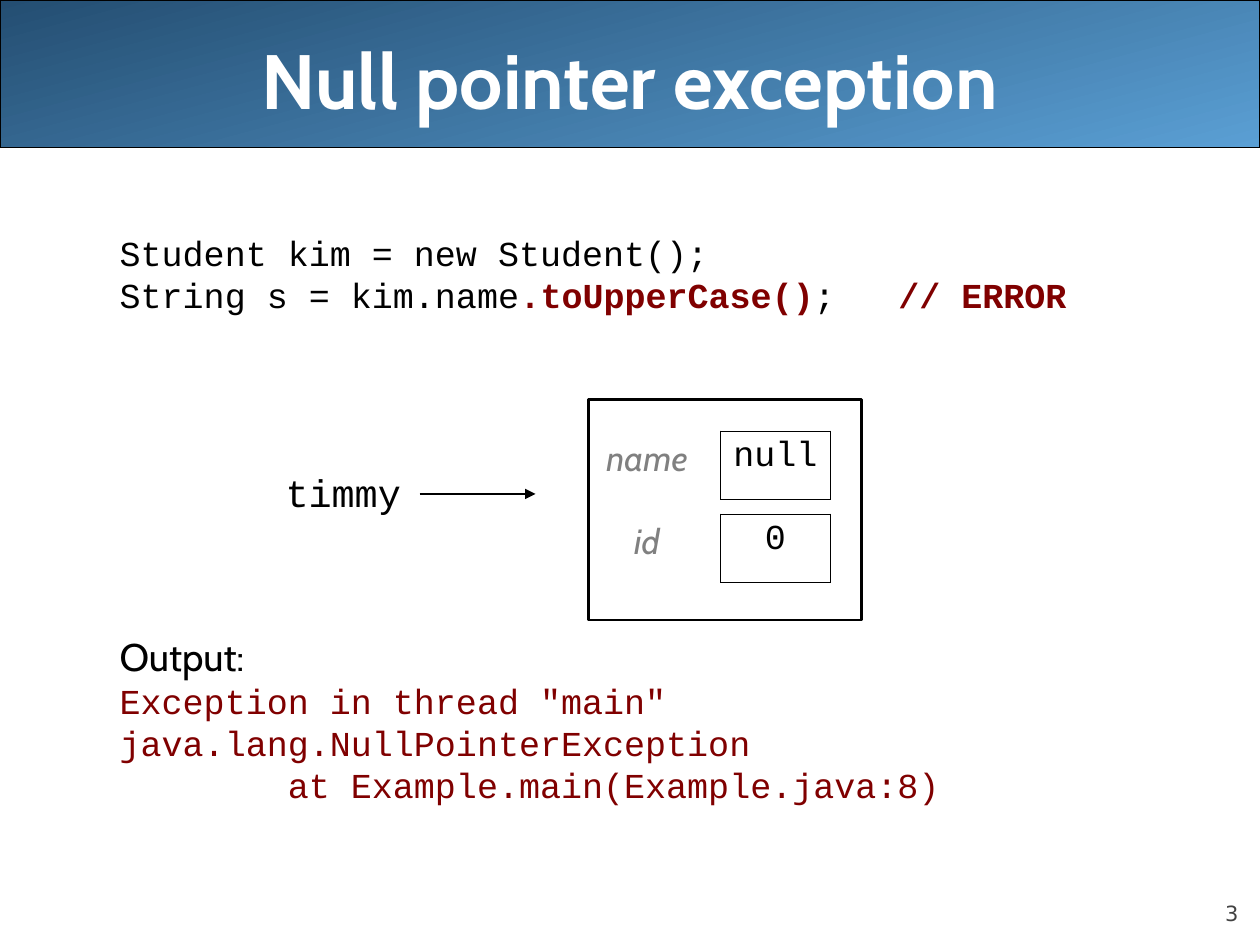
import pptx
import pptx.util
import pptx.dml.color
import pptx.enum.shapes
import pptx.enum.text
import pptx.oxml
import pptx.oxml.ns
from lxml import etree

Inches = pptx.util.Inches
Pt = pptx.util.Pt
ALIGN = pptx.enum.text.PP_ALIGN
ANCHOR = pptx.enum.text.MSO_ANCHOR

COLORS = {
    "black": "000000",
    "white": "FFFFFF",
    "error": "800000",
    "label": "808080",
    "number": "424242",
    "banner_dark": "244E72",
    "banner_light": "5A9FD4",
}
CODE_FONT = "Courier New"
TEXT_FONT = "Cabin"


def rgb(name):
    return pptx.dml.color.RGBColor.from_string(COLORS[name])


def add_run(paragraph, text, size, font, color, bold=False, italic=False):
    run = paragraph.add_run()
    run.text = text
    run.font.size = Pt(size)
    run.font.name = font
    run.font.bold = bold
    run.font.italic = italic
    run.font.color.rgb = rgb(color)


presentation = pptx.Presentation()
presentation.slide_width = Inches(10)
presentation.slide_height = Inches(7.5)
slide = presentation.slides.add_slide(presentation.slide_layouts[5])
shapes = slide.shapes

# Title on a gradient banner
title = shapes.title
title.left, title.top, title.width, title.height = (
    Inches(0.5), Inches(0), Inches(9), Inches(1.25))
title.text_frame.vertical_anchor = ANCHOR.MIDDLE
paragraph = title.text_frame.paragraphs[0]
paragraph.alignment = ALIGN.CENTER
add_run(paragraph, "Null pointer exception", 44, TEXT_FONT, "white", bold=True)

banner = shapes.add_shape(pptx.enum.shapes.MSO_SHAPE.RECTANGLE,
                          Inches(0), Inches(0), Inches(10), Inches(1.17))
banner.shadow.inherit = False
banner.fill.gradient()
banner.fill.gradient_angle = 285
for stop, position, color in zip(banner.fill.gradient_stops, (0, 1),
                                 ("banner_dark", "banner_light")):
    stop.position = position
    stop.color.rgb = rgb(color)
banner.line.color.rgb = rgb("black")
banner.line.width = Pt(0.75)
shapes._spTree.insert(2, banner._element)  # behind the title

# Code and program output: top, height and lines of runs
CODE = (20, CODE_FONT, "black")
ERROR = (20, CODE_FONT, "error")
text_blocks = [
    (1.84, 0.75, [
        [("Student kim = new Student();", *CODE)],
        [("String s = kim.name", *CODE),
         (".toUpperCase()", *ERROR, True),
         (";   ", *CODE),
         ("// ERROR", *ERROR, True)],
    ]),
    (5.06, 1.4, [
        [("Output:", 22, TEXT_FONT, "black")],
        [('Exception in thread "main"', *ERROR)],
        [("java.lang.NullPointerException", *ERROR)],
        [("        at Example.main(Example.java:8)", *ERROR)],
    ]),
]
for top, height, lines in text_blocks:
    box = shapes.add_textbox(Inches(0.95), Inches(top), Inches(8.9), Inches(height))
    frame = box.text_frame
    frame.word_wrap = True
    frame.margin_left = frame.margin_right = frame.margin_top = frame.margin_bottom = 0
    for index, runs in enumerate(lines):
        paragraph = frame.add_paragraph() if index else frame.paragraphs[0]
        paragraph.line_spacing = Pt(24)
        for run in runs:
            add_run(paragraph, *run)

# Variable and its reference arrow
variable = shapes.add_textbox(Inches(1.98), Inches(3.67), Inches(1.3), Inches(0.47))
variable.text_frame.word_wrap = True
paragraph = variable.text_frame.paragraphs[0]
paragraph.alignment = ALIGN.RIGHT
add_run(paragraph, "timmy", 22, CODE_FONT, "black")

arrow = shapes.add_connector(pptx.enum.shapes.MSO_CONNECTOR.STRAIGHT,
                             Inches(3.33), Inches(3.92), Inches(4.25), Inches(3.92))
arrow.line.color.rgb = rgb("black")
arrow.line.width = Pt(1.5)
etree.SubElement(arrow.line._get_or_add_ln(), pptx.oxml.ns.qn("a:tailEnd"), type="triangle")
etree.SubElement(arrow._element.spPr, pptx.oxml.ns.qn("a:effectLst"))

# Object fields: a label beside a bordered value
fields = [("name", "null"), ("id", "0")]
for index, (label, value) in enumerate(fields):
    table = shapes.add_table(1, 2, Inches(4.55), Inches(3.42 + 0.66 * index),
                             Inches(2.04), Inches(0.54)).table
    table.first_row = False
    table.horz_banding = False
    table.columns[0].width = Inches(1.17)
    table.columns[1].width = Inches(0.87)
    cells = [
        (label, TEXT_FONT, "label", True, ["lnR"]),
        (value, CODE_FONT, "black", False, ["lnL", "lnR", "lnT", "lnB"]),
    ]
    for column, (text, font, color, italic, borders) in enumerate(cells):
        cell = table.cell(0, column)
        for border in borders:
            cell._tc.get_or_add_tcPr().append(pptx.oxml.parse_xml(
                f'<a:{border} {pptx.oxml.ns.nsdecls("a")} w="5715"><a:solidFill>'
                f'<a:srgbClr val="{COLORS["black"]}"/></a:solidFill></a:{border}>'))
        cell.fill.background()
        paragraph = cell.text_frame.paragraphs[0]
        paragraph.alignment = ALIGN.CENTER
        add_run(paragraph, text, 20, font, color, italic=italic)

student = shapes.add_shape(pptx.enum.shapes.MSO_SHAPE.RECTANGLE,
                           Inches(4.67), Inches(3.17), Inches(2.17), Inches(1.75))
student.shadow.inherit = False
student.fill.background()
student.line.color.rgb = rgb("black")
student.line.width = Pt(1.5)

# Slide number
number = shapes.add_textbox(Inches(9), Inches(6.95), Inches(0.83), Inches(0.4))
frame = number.text_frame
frame.word_wrap = True
frame.margin_left = frame.margin_right = frame.margin_top = frame.margin_bottom = 0
frame.vertical_anchor = ANCHOR.BOTTOM
frame.paragraphs[0].alignment = ALIGN.RIGHT
add_run(frame.paragraphs[0], "3", 12, "DejaVu Sans", "number")

presentation.save("out.pptx")
